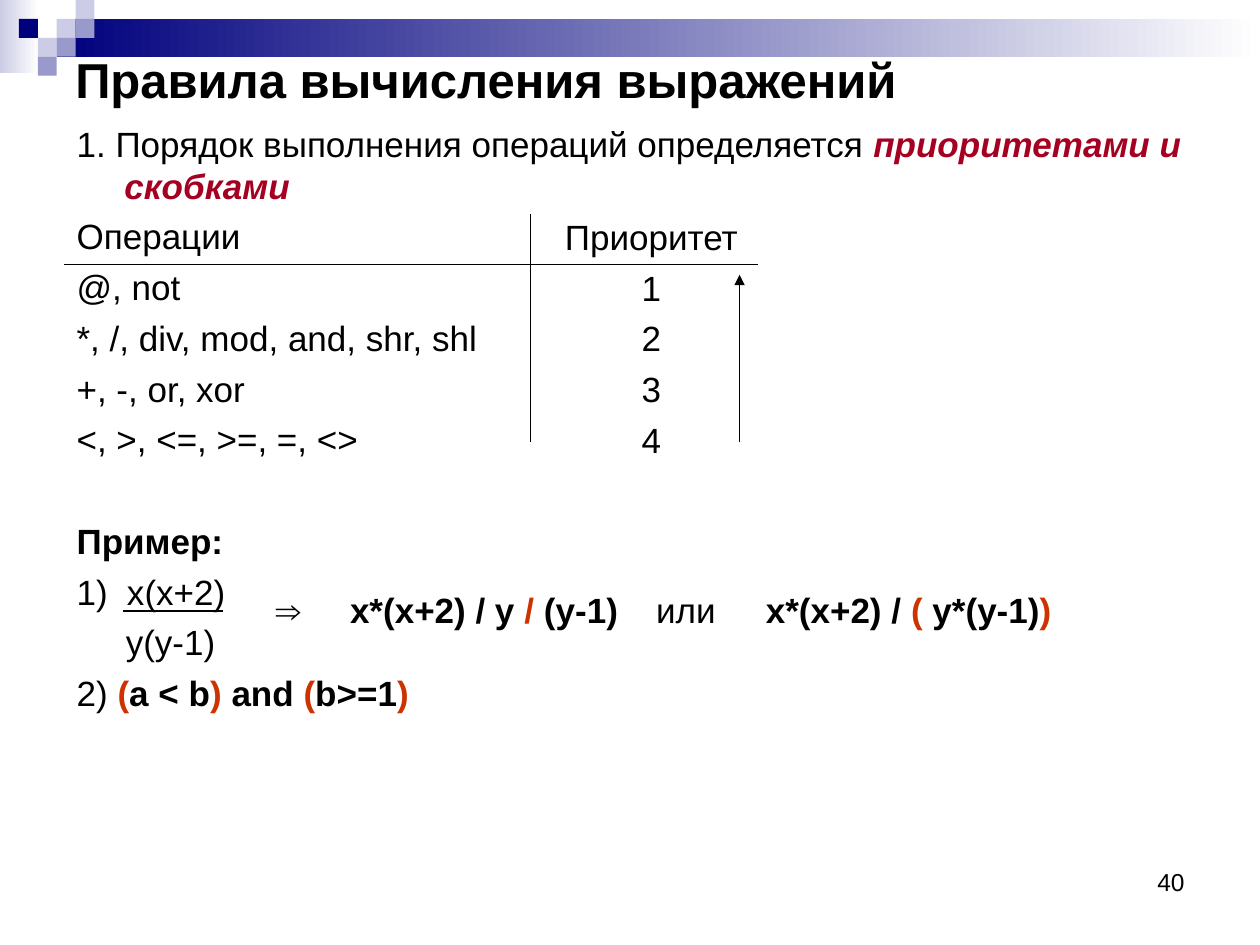
import pptx
import pptx.dml.color
import pptx.enum.shapes
import pptx.enum.text
import pptx.oxml
import pptx.oxml.ns
import pptx.util
from pptx.util import Inches

theme = {
    "font": "Arial", "title": 28, "body": 20, "number": 14,
    "ink": "000000", "crimson": "A50021", "accent": "CC3300",
    "navy": "00007D", "violet": "9999CC", "pale": "CCCCE6", "white": "FFFFFF",
}


def write(para, text, size="body", color="ink", bold=False, italic=False):
    span = para.add_run()
    span.text = text
    span.font.name = theme["font"]
    span.font.size = pptx.util.Pt(theme[size])
    span.font.bold = bold
    span.font.italic = italic
    span.font.color.rgb = pptx.dml.color.RGBColor.from_string(theme[color])


def lay_out(para, left=0, indent=0):
    props = para._p.get_or_add_pPr()
    props.set("marL", str(Inches(left)))
    props.set("indent", str(Inches(indent)))


deck = pptx.Presentation()
deck.slide_width, deck.slide_height = Inches(10), Inches(7.5)
page = deck.slides.add_slide(deck.slide_layouts[6])

decor = [
    (0, 0, 0.31, 0.58, "pale", True),
    (0.45, 0.15, 9.55, 0.3, "navy", True),
]
squares = [
    (3, 1, "pale"), (4, 0, "pale"), (4, 1, "violet"), (2, 2, "pale"),
    (1, 1, "navy"), (3, 2, "violet"), (2, 3, "violet"),
]
step = 0.15
decor += [(column * step, row * step, step, step, color, False) for column, row, color in squares]
for left, top, width, height, color, fades in decor:
    block = page.shapes.add_shape(
        pptx.enum.shapes.MSO_SHAPE.RECTANGLE, Inches(left), Inches(top), Inches(width), Inches(height))
    block.shadow.inherit = False
    block.line.fill.background()
    if fades:
        block.fill.gradient()
        block.fill.gradient_angle = 0
        for stop, name in zip(block.fill.gradient_stops, (color, "white")):
            stop.color.rgb = pptx.dml.color.RGBColor.from_string(theme[name])
    else:
        block.fill.solid()
        block.fill.fore_color.rgb = pptx.dml.color.RGBColor.from_string(theme[color])

frames = {}
for name, left, top, width, height in [
    ("number", 7.17, 6.83, 2.33, 0.52),
    ("title", 0.5, 0.5, 9, 0.26),
    ("body", 0.51, 0.92, 9, 6.3),
    ("priority", 4.27, 1.66, 1.8, 2.1),
    ("arrow", 2.09, 4.62, 0.5, 0.44),
    ("first", 2.68, 4.62, 2.43, 0.44),
    ("or", 5.11, 4.62, 0.8, 0.44),
    ("second", 5.98, 4.62, 2.6, 0.44),
]:
    box = page.shapes.add_textbox(Inches(left), Inches(top), Inches(width), Inches(height))
    frames[name] = box.text_frame
    frames[name].word_wrap = True

number = frames["number"].paragraphs[0]
number.alignment = pptx.enum.text.PP_ALIGN.RIGHT
write(number, "40", size="number")

frames["title"].vertical_anchor = pptx.enum.text.MSO_ANCHOR.MIDDLE
write(frames["title"].paragraphs[0], "Правила вычисления выражений", size="title", bold=True)

body = frames["body"]
rule = body.paragraphs[0]
lay_out(rule, left=0.38, indent=-0.38)
write(rule, "1. Порядок выполнения операций определяется ")
write(rule, "приоритетами и скобками", color="crimson", bold=True, italic=True)

priorities = frames["priority"]
heading = priorities.paragraphs[0]
for index, (operations, priority) in enumerate([
    ("Операции", "Приоритет"),
    ("@, not", "1"),
    ("*, /, div, mod, and, shr, shl", "2"),
    ("+, -, or, xor", "3"),
    ("<, >, <=, >=, =, <>", "4"),
]):
    write(body.add_paragraph(), operations)
    rank = priorities.add_paragraph() if index else heading
    rank.alignment = pptx.enum.text.PP_ALIGN.CENTER
    write(rank, priority)

example = body.add_paragraph()
write(example, "Пример:", bold=True)
numerator = body.add_paragraph()
lay_out(numerator, left=0.4, indent=-0.4)
write(numerator, "1)\tx(x+2)")
denominator = body.add_paragraph()
lay_out(denominator, left=0.39)
write(denominator, "y(y-1)")
condition = body.add_paragraph()
write(condition, "2) ")
for text, color in [
    ("(", "accent"), ("a < b", "ink"), (") ", "accent"), ("and ", "ink"),
    ("(", "accent"), ("b>=1", "ink"), (")", "accent"),
]:
    write(condition, text, color=color, bold=True)

for para in body.paragraphs + priorities.paragraphs:
    para.line_spacing = pptx.util.Pt(24)
    para.space_before = pptx.util.Pt(5)
for para in (rule, heading):
    para.space_before = pptx.util.Pt(0)
example.space_before = pptx.util.Pt(34)

for name, text, color, bold in [
    ("arrow", "⇒", "ink", True),
    ("first", "x*(x+2) / y ", "ink", True),
    ("first", "/ ", "accent", True),
    ("first", "(y-1)", "ink", True),
    ("or", "или", "ink", False),
    ("second", "x*(x+2) / ", "ink", True),
    ("second", "( ", "accent", True),
    ("second", "y*(y-1)", "ink", True),
    ("second", ")", "accent", True),
]:
    write(frames[name].paragraphs[0], text, color=color, bold=bold)

for start_x, start_y, end_x, end_y, arrow in [
    (0.98, 4.85, 1.77, 4.85, False),
    (5.87, 3.51, 5.87, 2.18, True),
    (0.51, 2.1, 6.02, 2.1, False),
    (4.21, 1.7, 4.21, 3.51, False),
]:
    line = page.shapes.add_connector(
        pptx.enum.shapes.MSO_CONNECTOR.STRAIGHT,
        Inches(start_x), Inches(start_y), Inches(end_x), Inches(end_y))
    line.line.width = pptx.util.Pt(0.75)
    line.line.color.rgb = pptx.dml.color.RGBColor.from_string(theme["ink"])
    props = line._element.spPr
    if arrow:
        outline = line.line._get_or_add_ln()
        outline.append(outline.makeelement(pptx.oxml.ns.qn("a:tailEnd"), {"type": "triangle"}))
    props.append(props.makeelement(pptx.oxml.ns.qn("a:effectLst"), {}))

deck.save("out.pptx")
